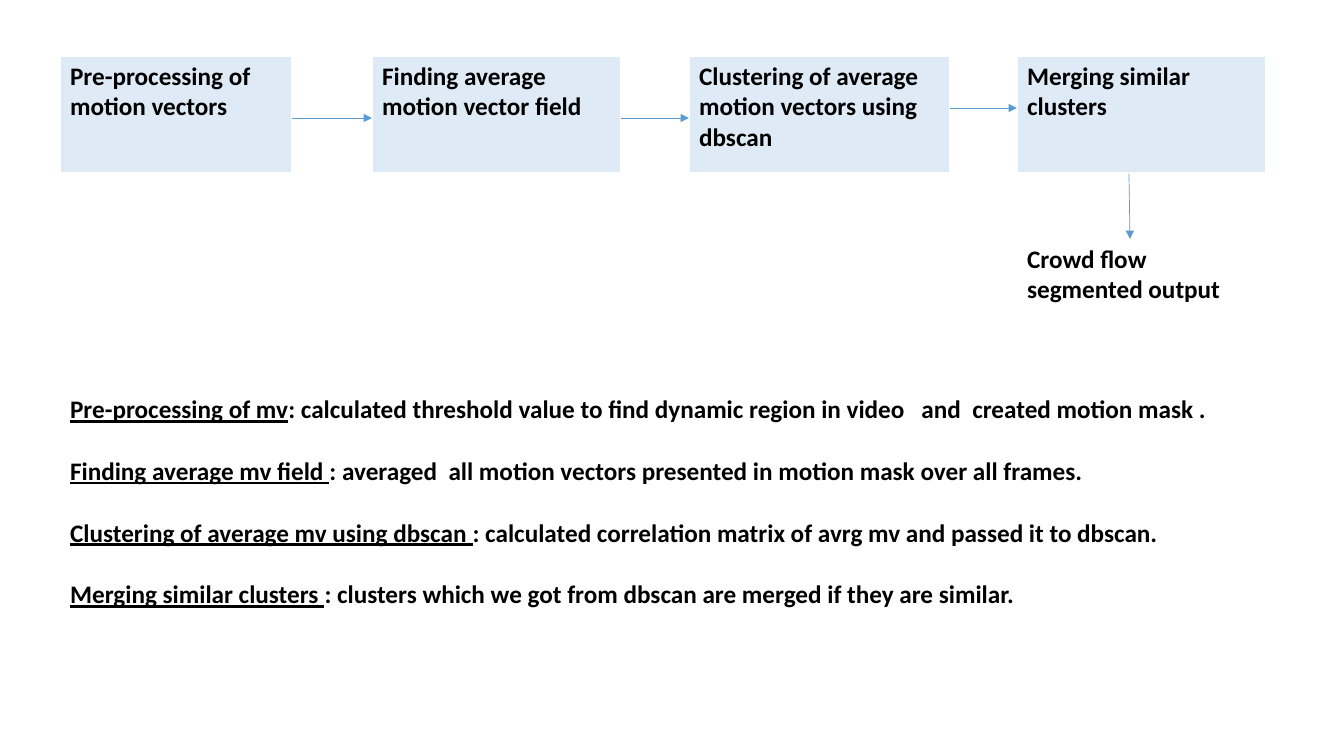
from lxml import etree
from pptx import Presentation
from pptx.dml.color import RGBColor
from pptx.enum.shapes import MSO_CONNECTOR
from pptx.oxml import parse_xml
from pptx.oxml.ns import nsdecls, qn
from pptx.util import Pt

STRAIGHT = MSO_CONNECTOR.STRAIGHT
SCALE = 12700 * 72 / 100.8
COLORS = {"box": "DEEBF7", "page": "FFFFFF", "text": "000000", "arrow": "5B9BD5"}
FONT = {"name": "Calibri", "size": Pt(18), "bold": True}
EDGES = {"lnL": 1, "lnR": 1, "lnT": 1, "lnB": 3}

TOP, HIGH = 56, 118
STEPS = [
    (60, 232, "Pre-processing of motion vectors"),
    (372, 249, "Finding average motion vector field"),
    (689, 261, "Clustering of average motion vectors using dbscan"),
    (1017, 249, "Merging similar clusters"),
]
LEVELS = [118, 118, 108]
NOTES = [
    ("Pre-processing of mv",
     ": calculated threshold value to find dynamic region in video   and  created motion mask ."),
    ("Finding average mv field ",
     ": averaged  all motion vectors presented in motion mask over all frames."),
    ("Clustering of average mv using dbscan ",
     ": calculated correlation matrix of avrg mv and passed it to dbscan."),
    ("Merging similar clusters ",
     ": clusters which we got from dbscan are merged if they are similar."),
]


def px(num):
    return round(num * SCALE)


def color(key):
    return RGBColor.from_string(COLORS[key])


def add_run(para, text, line=False):
    run = para.add_run()
    run.text = text
    for key, val in FONT.items():
        setattr(run.font, key, val)
    run.font.underline = line
    run.font.color.rgb = color("text")


def add_edges(cell):
    props = cell._tc.get_or_add_tcPr()
    for pos, (tag, wide) in enumerate(EDGES.items()):
        props.insert(pos, parse_xml(
            f'<a:{tag} {nsdecls("a")} w="{Pt(wide)}"><a:solidFill>'
            f'<a:srgbClr val="{COLORS["page"]}"/></a:solidFill></a:{tag}>'))


def add_cell(slide, left, top, width, height, fill):
    """Add a table of one cell and return that cell."""
    frame = slide.shapes.add_table(1, 1, px(left), px(top), px(width), px(height))
    table = frame.table
    table.first_row = table.horz_banding = False
    cell = table.cell(0, 0)
    cell.fill.solid()
    cell.fill.fore_color.rgb = color(fill)
    add_edges(cell)
    return cell


def add_box(slide, left, top, width, height, fill, text):
    cell = add_cell(slide, left, top, width, height, fill)
    add_run(cell.text_frame.paragraphs[0], text)


def add_arrow(slide, *ends):
    arrow = slide.shapes.add_connector(STRAIGHT, *map(px, ends))
    arrow.line.width = Pt(0.5)
    arrow.line.color.rgb = color("arrow")
    etree.SubElement(arrow.line._get_or_add_ln(), qn("a:tailEnd"), type="triangle")
    etree.SubElement(arrow._element.spPr, qn("a:effectLst"))


def add_notes(slide):
    cell = add_cell(slide, 60, 359, 1219, 363, "page")
    cell.margin_top = px(36)
    frame = cell.text_frame
    for num, (head, body) in enumerate(NOTES):
        para = frame.add_paragraph() if num else frame.paragraphs[0]
        if num:
            para.space_before = Pt(22)
        add_run(para, head, True)
        add_run(para, body)


def main():
    deck = Presentation()
    deck.slide_width, deck.slide_height = px(1344), px(756)
    slide = deck.slides.add_slide(deck.slide_layouts[6])
    for left, width, text in STEPS:
        add_box(slide, left, TOP, width, HIGH, "box", text)
    for step, after, level in zip(STEPS, STEPS[1:], LEVELS):
        add_arrow(slide, step[0] + step[1], level, after[0], level)
    add_box(slide, 1017, 239, 261, 130, "page", "Crowd flow segmented output")
    add_notes(slide)
    add_arrow(slide, 1129, TOP + HIGH, 1130, 239)
    deck.save("out.pptx")


if __name__ == "__main__":
    main()
